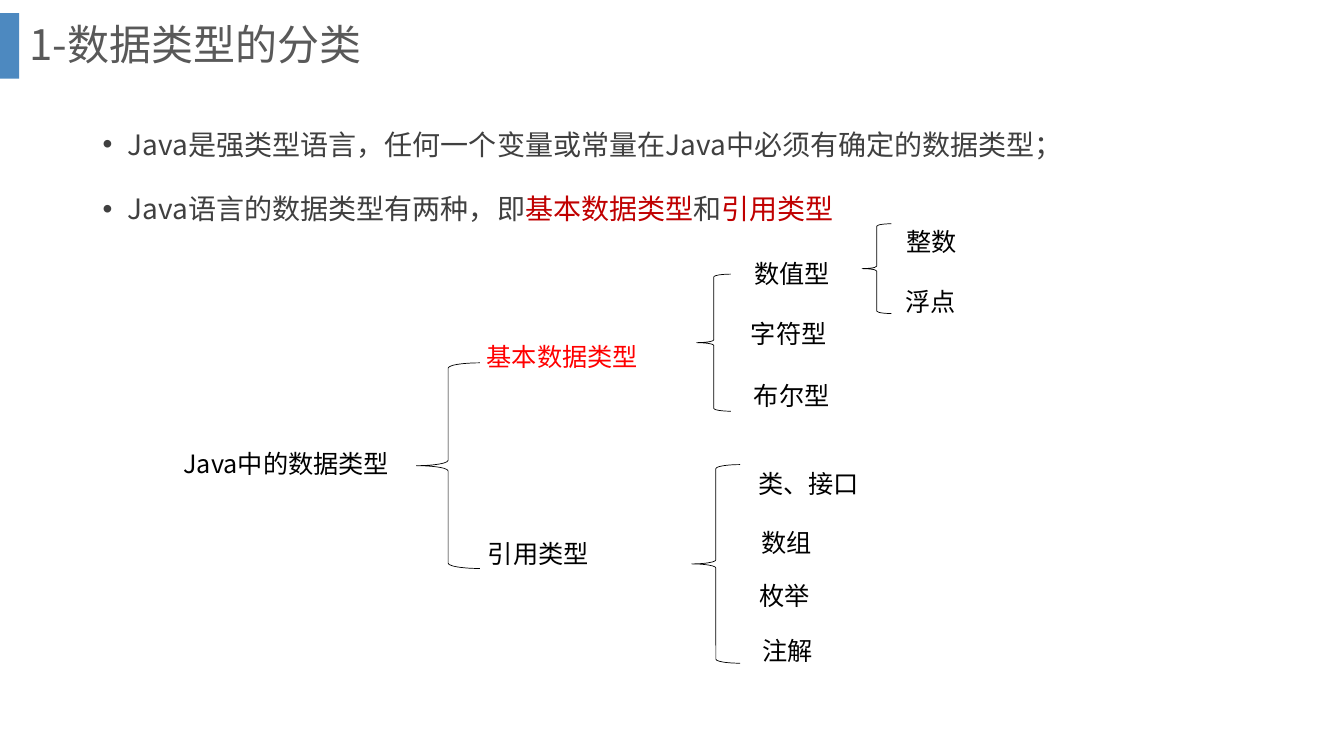
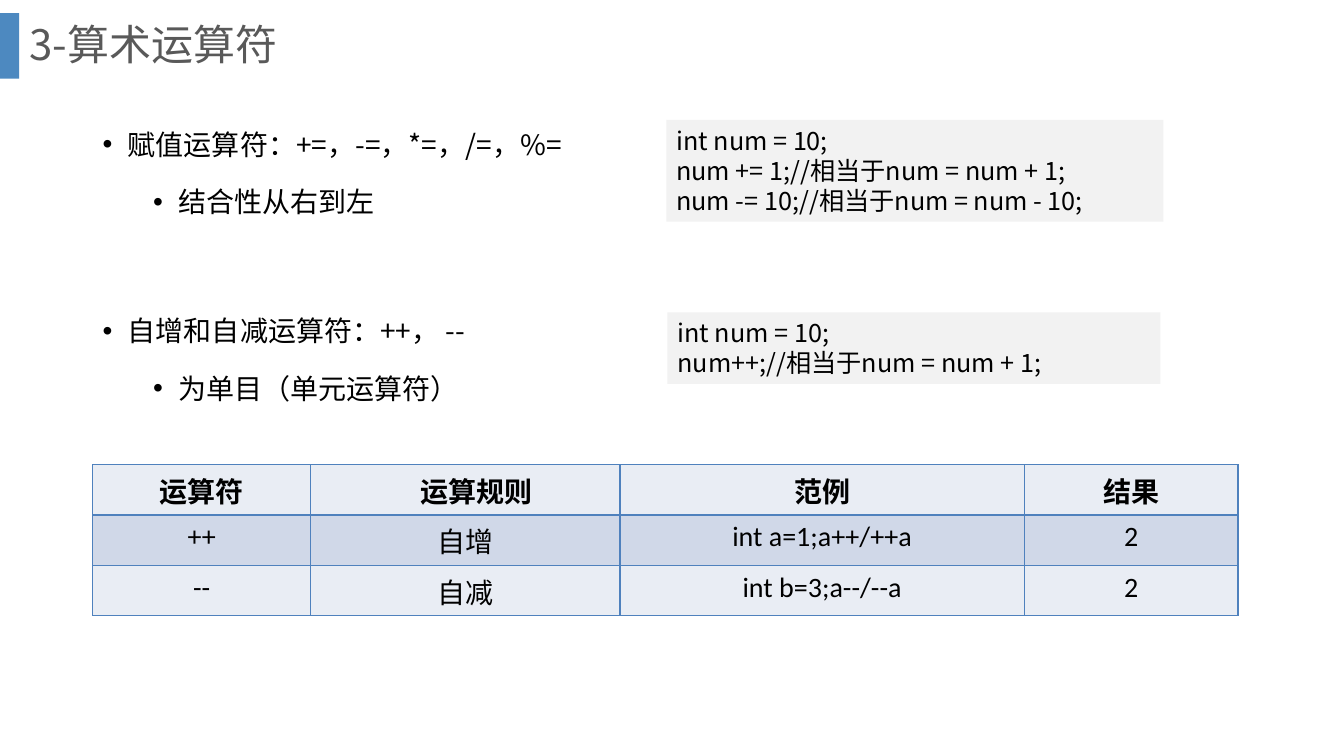
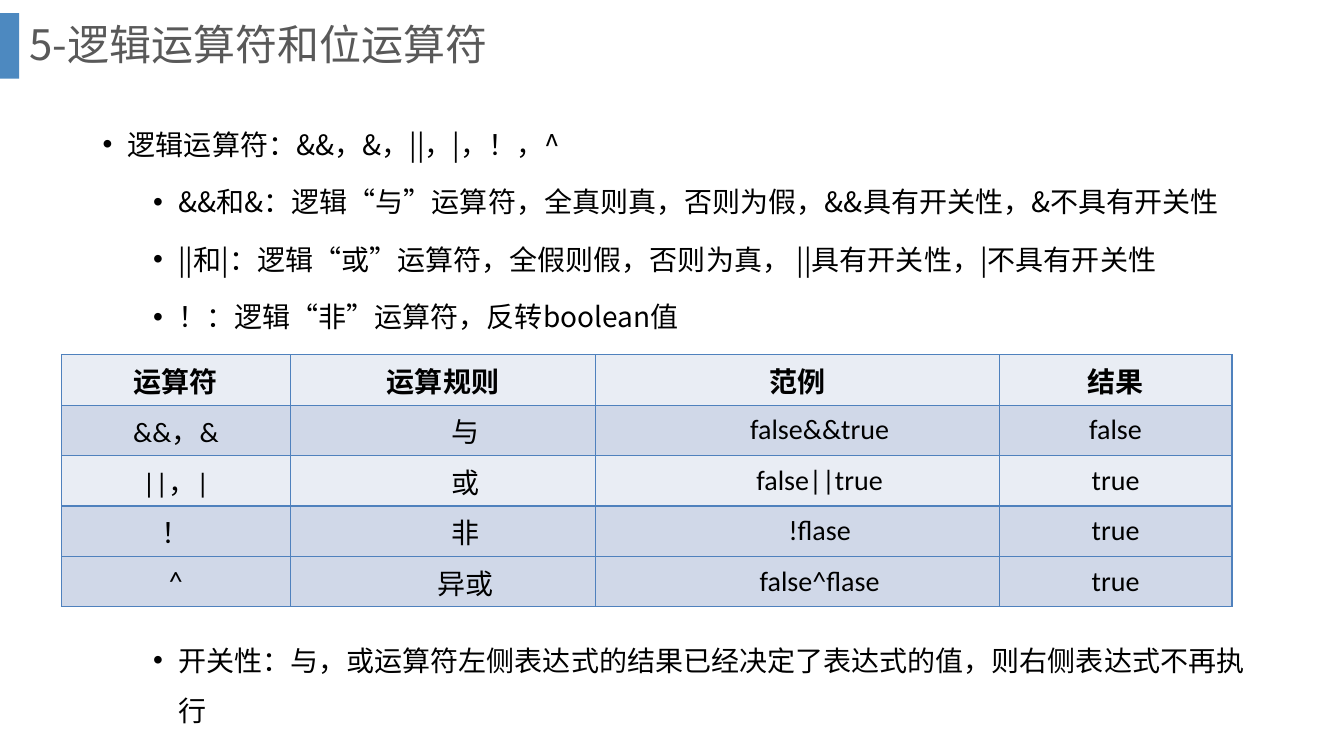
from dataclasses import dataclass
from typing import Optional

from lxml.etree import SubElement
from pptx import Presentation
from pptx.dml.color import RGBColor
from pptx.enum.shapes import MSO_SHAPE as Preset
from pptx.enum.text import MSO_ANCHOR as Anchor, PP_ALIGN as Align
from pptx.oxml.ns import qn
from pptx.util import Inches, Pt

BAND_BLUE = RGBColor(0x2E, 0x75, 0xB6)
TITLE_GREY = RGBColor(0x59, 0x59, 0x59)
BODY_GREY = RGBColor(0x40, 0x40, 0x40)
DARK_RED = RGBColor(0xC0, 0x00, 0x00)
RED = RGBColor(0xFF, 0x00, 0x00)
BLACK = RGBColor(0x00, 0x00, 0x00)
CODE_GREY = RGBColor(0xF2, 0xF2, 0xF2)
BORDER_BLUE = RGBColor(0x4F, 0x81, 0xBD)
LIGHT_ROW = RGBColor(0xE9, 0xED, 0xF4)
DARK_ROW = RGBColor(0xD0, 0xD8, 0xE8)
CJK_FONT = "Noto Sans CJK SC"
TABLE_FONT = "Calibri"


@dataclass(frozen=True)
class Span:
    text: str
    color: RGBColor = BLACK


@dataclass(frozen=True)
class Bullet:
    spans: tuple[Span, ...]
    level: int = 0
    before: Optional[float] = None


@dataclass(frozen=True)
class Label:
    text: str
    left: float
    top: float
    width: float
    color: RGBColor = BLACK


@dataclass(frozen=True)
class Brace:
    left: float
    top: float
    width: float
    height: float


@dataclass(frozen=True)
class Code:
    left: float
    top: float
    width: float
    height: float
    lines: tuple[str, ...]


@dataclass(frozen=True)
class Grid:
    left: float
    top: float
    columns: tuple[float, ...]
    rows: tuple[tuple[str, ...], ...]
    fills: tuple[RGBColor, ...]
    anchor: Anchor
    indents: dict[tuple[int, int], float]


def add_span(para, text: str, size: float, color: RGBColor,
             font: str = CJK_FONT, bold: bool = False) -> None:
    run = para.add_run()
    run.text = text
    run.font.size = Pt(size)
    run.font.name = font
    run.font.bold = bold
    run.font.color.rgb = color
    SubElement(run.font._element, qn("a:ea")).set("typeface", CJK_FONT)


def add_page(deck, title: str):
    page = deck.slides.add_slide(deck.slide_layouts[5])
    band = page.shapes.add_shape(Preset.RECTANGLE, 0, Inches(0.13), Inches(0.19), Inches(0.65))
    band.shadow.inherit = False
    band.line.fill.background()
    band.fill.solid()
    band.fill.fore_color.rgb = BAND_BLUE
    color = band.fill._xPr.find(qn("a:solidFill"))[0]
    SubElement(color, qn("a:alpha")).set("val", "85000")

    box = page.shapes.title
    box.left, box.top, box.width, box.height = Inches(0.19), 0, Inches(12.66), Inches(0.93)
    box.text_frame.vertical_anchor = Anchor.MIDDLE
    para = box.text_frame.paragraphs[0]
    para.alignment = Align.LEFT
    para.line_spacing = 0.9
    add_span(para, title, 30, TITLE_GREY)
    return page


def add_text_box(page, left: float, top: float, width: float, height: float):
    box = page.shapes.add_textbox(Inches(left), Inches(top), Inches(width), Inches(height))
    box.text_frame.word_wrap = True
    return box.text_frame


def next_para(frame, index: int):
    return frame.add_paragraph() if index else frame.paragraphs[0]


def add_bullets(page, bullets: tuple[Bullet, ...], width: float = 11.5) -> None:
    frame = add_text_box(page, 0.92, 1.05, width, 6.16)
    for index, bullet in enumerate(bullets):
        para = next_para(frame, index)
        para.level = bullet.level
        para.line_spacing = 1.5
        para.space_before = Pt(bullet.before or (5 if bullet.level else 10))
        properties = para._p.get_or_add_pPr()
        properties.set("marL", str(Inches(0.25 + 0.5 * bullet.level)))
        properties.set("indent", str(Inches(-0.25)))
        SubElement(properties, qn("a:buFont")).set("typeface", "Arial")
        SubElement(properties, qn("a:buChar")).set("char", "•")
        for span in bullet.spans:
            add_span(para, span.text, 20, span.color)


def add_label(page, label: Label) -> None:
    frame = add_text_box(page, label.left, label.top, label.width, 0.4)
    add_span(frame.paragraphs[0], label.text, 18, label.color)


def add_brace(page, brace: Brace) -> None:
    shape = page.shapes.add_shape(Preset.LEFT_BRACE, Inches(brace.left), Inches(brace.top),
                                  Inches(brace.width), Inches(brace.height))
    shape.shadow.inherit = False
    shape.fill.background()
    shape.line.color.rgb = BLACK
    shape.line.width = Pt(0.5)


def add_code(page, code: Code) -> None:
    box = page.shapes.add_shape(Preset.RECTANGLE, Inches(code.left), Inches(code.top),
                                Inches(code.width), Inches(code.height))
    box.shadow.inherit = False
    box.line.fill.background()
    box.fill.solid()
    box.fill.fore_color.rgb = CODE_GREY
    frame = box.text_frame
    frame.word_wrap = True
    frame.vertical_anchor = Anchor.TOP
    for index, line in enumerate(code.lines):
        para = next_para(frame, index)
        para.alignment = Align.LEFT
        add_span(para, line, 18, BLACK)


def set_borders(cell) -> None:
    properties = cell._tc.get_or_add_tcPr()
    for index, side in enumerate(("lnL", "lnR", "lnT", "lnB")):
        line = properties.makeelement(qn(f"a:{side}"), {"w": str(Pt(1))})
        fill = SubElement(line, qn("a:solidFill"))
        SubElement(fill, qn("a:srgbClr")).set("val", str(BORDER_BLUE))
        properties.insert(index, line)


def add_grid(page, grid: Grid) -> None:
    row_height = Inches(0.5)
    table = page.shapes.add_table(
        len(grid.rows), len(grid.columns), Inches(grid.left), Inches(grid.top),
        Inches(sum(grid.columns)), row_height * len(grid.rows)).table
    table.first_row = table.horz_banding = False
    for column, width in zip(table.columns, grid.columns):
        column.width = Inches(width)
    for row_index, (texts, fill) in enumerate(zip(grid.rows, grid.fills)):
        table.rows[row_index].height = row_height
        for column_index, text in enumerate(texts):
            cell = table.cell(row_index, column_index)
            cell.vertical_anchor = grid.anchor
            cell.fill.solid()
            cell.fill.fore_color.rgb = fill
            set_borders(cell)
            para = cell.text_frame.paragraphs[0]
            para.alignment = Align.CENTER
            indent = grid.indents.get((row_index, column_index), 0)
            para._p.get_or_add_pPr().set("indent", str(Inches(indent)))
            add_span(para, text, 20, BLACK, TABLE_FONT, bold=row_index == 0)


HEADER = ("运算符", "运算规则", "范例", "结果")

TYPE_BULLETS = (
    Bullet((Span("Java是强类型语言，任何一个变量或常量在Java中必须有确定的数据类型；", BODY_GREY),)),
    Bullet((Span("Java语言的数据类型有两种，即", BODY_GREY), Span("基本数据类型", DARK_RED),
            Span("和", BODY_GREY), Span("引用类型", DARK_RED))),
)
TYPE_LABELS = (
    Label("Java中的数据类型", 1.72, 4.4, 2.91),
    Label("基本数据类型", 4.73, 3.34, 2.27, RED),
    Label("引用类型", 4.74, 5.29, 1.56),
    Label("数值型", 7.38, 2.51, 1.28),
    Label("字符型", 7.35, 3.11, 1.37),
    Label("布尔型", 7.38, 3.72, 1.26),
    Label("整数", 8.89, 2.2, 1.28),
    Label("浮点", 8.88, 2.79, 1.28),
    Label("类、接口", 7.42, 4.6, 1.28),
    Label("数组", 7.45, 5.18, 1.28),
    Label("枚举", 7.43, 5.71, 1.28),
    Label("注解", 7.46, 6.25, 1.28),
)
TYPE_BRACES = (
    Brace(4.13, 3.6, 0.63, 2.04),
    Brace(6.91, 2.72, 0.34, 1.36),
    Brace(6.86, 4.61, 0.48, 1.97),
    Brace(8.55, 2.22, 0.29, 0.89),
)

ARITHMETIC_BULLETS = (
    Bullet((Span("赋值运算符：+=，-=，*=，/=，%="),)),
    Bullet((Span("结合性从右到左"),), 1),
    Bullet((Span("自增和自减运算符：++， --"),), before=56),
    Bullet((Span("为单目（单元运算符）"),), 1),
)
ARITHMETIC_CODES = (
    Code(6.61, 1.19, 4.93, 1.01, (
        "int num = 10;", "num += 1;//相当于num = num + 1;", "num -= 10;//相当于num = num - 10;")),
    Code(6.62, 3.1, 4.89, 0.71, ("int num = 10;", "num++;//相当于num = num + 1;")),
)
ARITHMETIC_GRID = Grid(
    0.92, 4.61, (2.16, 3.07, 4.01, 2.12),
    (HEADER, ("++", "自增", "int a=1;a++/++a", "2"), ("--", "自减", "int b=3;a--/--a", "2")),
    (LIGHT_ROW, DARK_ROW, LIGHT_ROW), Anchor.TOP, {(0, 1): 0.22})

LOGIC_BULLETS = (
    Bullet((Span("逻辑运算符：&&，&，||，|，！，^"),)),
    Bullet((Span("&&和&：逻辑“与”运算符，全真则真，否则为假，&&具有开关性，&不具有开关性"),), 1),
    Bullet((Span("||和|：逻辑“或”运算符，全假则假，否则为真， ||具有开关性，|不具有开关性"),), 1),
    Bullet((Span("！：逻辑“非”运算符，反转boolean值"),), 1),
    Bullet((Span("开关性：与，或运算符左侧表达式的结果已经决定了表达式的值，则右侧表达式不再执行"),), 1, 209.5),
)
LOGIC_GRID = Grid(
    0.61, 3.52, (2.27, 3.03, 4.0, 2.31),
    (HEADER, ("&&，&", "与", "false&&true", "false"), ("||，|", "或", "false||true", "true"),
     ("！", "非", "!flase", "true"), ("^", "异或", "false^flase", "true")),
    (LIGHT_ROW, DARK_ROW, LIGHT_ROW, DARK_ROW, DARK_ROW), Anchor.MIDDLE,
    {(row, column): 0.44 for row in range(1, 5) for column in (1, 2)})


def build_types(deck) -> None:
    page = add_page(deck, "1-数据类型的分类")
    add_bullets(page, TYPE_BULLETS)
    for label in TYPE_LABELS:
        add_label(page, label)
    for brace in TYPE_BRACES:
        add_brace(page, brace)


def build_arithmetic(deck) -> None:
    page = add_page(deck, "3-算术运算符")
    add_bullets(page, ARITHMETIC_BULLETS)
    add_grid(page, ARITHMETIC_GRID)
    for code in ARITHMETIC_CODES:
        add_code(page, code)


def build_logic(deck) -> None:
    page = add_page(deck, "5-逻辑运算符和位运算符")
    add_bullets(page, LOGIC_BULLETS, width=11.79)
    add_grid(page, LOGIC_GRID)


deck = Presentation()
deck.slide_width, deck.slide_height = Inches(13.33), Inches(7.5)
build_types(deck)
build_arithmetic(deck)
build_logic(deck)
deck.save("out.pptx")
